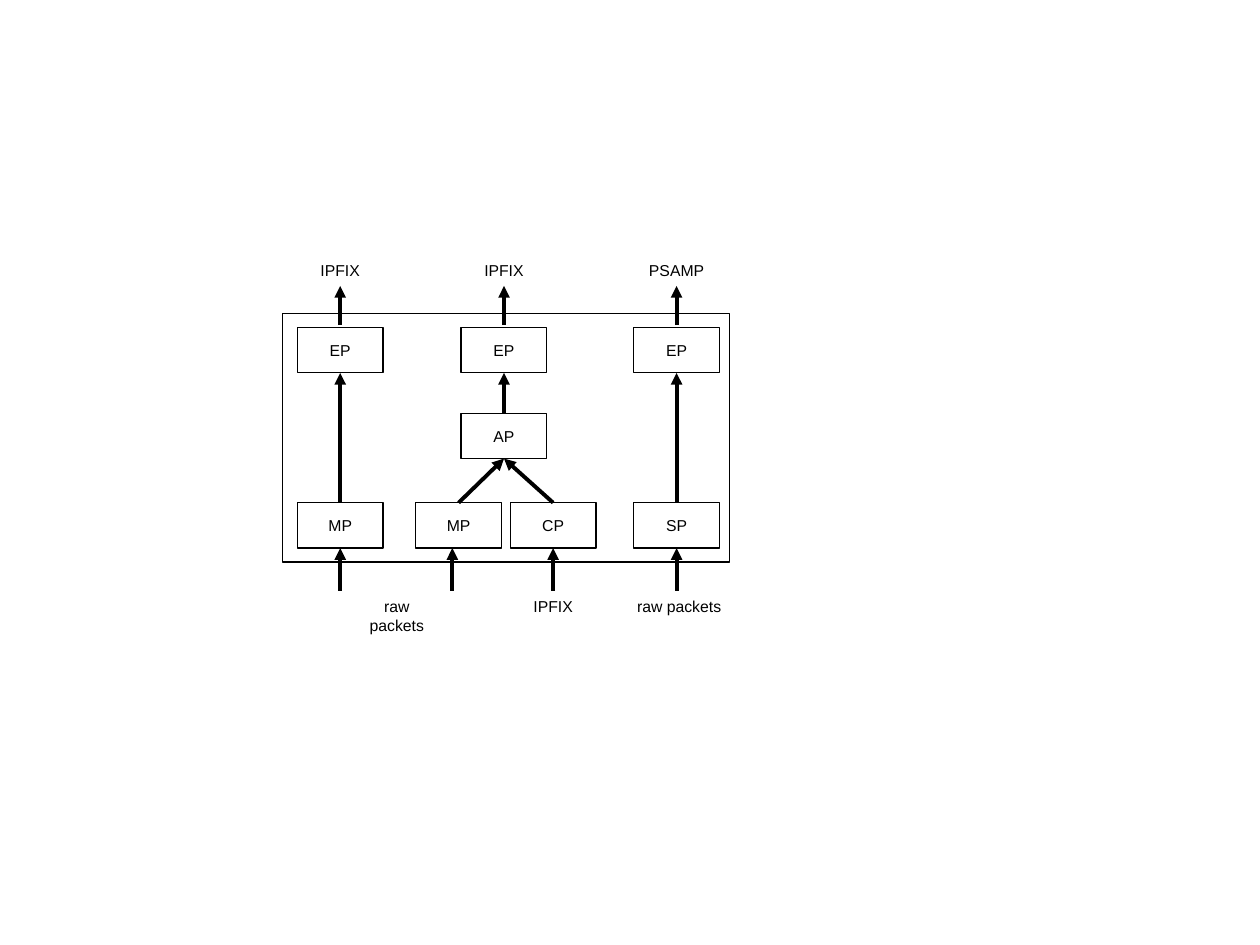
from lxml import etree
from pptx import Presentation
from pptx.dml.color import RGBColor
from pptx.enum.shapes import MSO_CONNECTOR, MSO_SHAPE
from pptx.enum.text import MSO_ANCHOR, PP_ALIGN
from pptx.oxml.ns import qn
from pptx.util import Inches, Pt

RECTANGLE = MSO_SHAPE.RECTANGLE
STRAIGHT = MSO_CONNECTOR.STRAIGHT
MIDDLE = MSO_ANCHOR.MIDDLE
CENTER = PP_ALIGN.CENTER
BLACK = RGBColor(0x00, 0x00, 0x00)

BOX_WIDTH, BOX_HEIGHT = 0.68, 0.36
LABEL_HEIGHT = 0.25
LEFT, MIDDLE_X, RIGHT = 2.7, 4, 5.37
METERING, COLLECTING = 3.64, 4.39
EXPORT_TOP, AGGREGATE_TOP, INPUT_TOP = 2.6, 3.28, 3.99
EXPORT_BOTTOM = EXPORT_TOP + BOX_HEIGHT
AGGREGATE_BOTTOM = AGGREGATE_TOP + BOX_HEIGHT
INPUT_BOTTOM = INPUT_TOP + BOX_HEIGHT
OUTPUT_LABEL_TOP, SOURCE_LABEL_TOP = 2.02, 4.69

PROCESSES = [
    ("EP", LEFT, EXPORT_TOP),
    ("EP", MIDDLE_X, EXPORT_TOP),
    ("EP", RIGHT, EXPORT_TOP),
    ("AP", MIDDLE_X, AGGREGATE_TOP),
    ("MP", LEFT, INPUT_TOP),
    ("MP", METERING, INPUT_TOP),
    ("CP", COLLECTING, INPUT_TOP),
    ("SP", RIGHT, INPUT_TOP),
]
LABELS = [
    ("IPFIX", LEFT, OUTPUT_LABEL_TOP, 1.06),
    ("IPFIX", MIDDLE_X, OUTPUT_LABEL_TOP, 1.06),
    ("PSAMP", RIGHT, OUTPUT_LABEL_TOP, 1.06),
    ("raw packets", 3.15, SOURCE_LABEL_TOP, 0.86),
    ("IPFIX", COLLECTING, SOURCE_LABEL_TOP, 0.6),
    ("raw packets", 5.39, SOURCE_LABEL_TOP, 0.9),
]
INNER_ARROWS = [
    ((LEFT, INPUT_TOP), (LEFT, EXPORT_BOTTOM)),
    ((RIGHT, INPUT_TOP), (RIGHT, EXPORT_BOTTOM)),
    ((MIDDLE_X, AGGREGATE_TOP), (MIDDLE_X, EXPORT_BOTTOM)),
    ((METERING, INPUT_TOP), (MIDDLE_X, AGGREGATE_BOTTOM)),
    ((COLLECTING, INPUT_TOP), (MIDDLE_X, AGGREGATE_BOTTOM)),
]


def set_text(shape, text):
    text_frame = shape.text_frame
    text_frame.word_wrap = True
    text_frame.text = text
    paragraph = text_frame.paragraphs[0]
    paragraph.alignment = CENTER
    font = paragraph.runs[0].font
    font.name = "Arial"
    font.size = Pt(9)
    font.color.rgb = BLACK


def add_box(slide, left, top, width, height):
    shape = slide.shapes.add_shape(
        RECTANGLE, Inches(left), Inches(top), Inches(width), Inches(height))
    shape.shadow.inherit = False
    shape.fill.background()
    shape.line.color.rgb = BLACK
    shape.line.width = Pt(0.75)
    return shape


def add_process(slide, text, center, top):
    shape = add_box(slide, center - BOX_WIDTH / 2, top, BOX_WIDTH, BOX_HEIGHT)
    shape.text_frame.vertical_anchor = MIDDLE
    set_text(shape, text)


def add_label(slide, text, center, top, width):
    shape = slide.shapes.add_textbox(
        Inches(center - width / 2), Inches(top), Inches(width), Inches(LABEL_HEIGHT))
    set_text(shape, text)


def add_arrow(slide, start, end):
    connector = slide.shapes.add_connector(
        STRAIGHT, *(Inches(value) for value in (*start, *end)))
    connector.line.color.rgb = BLACK
    connector.line.width = Pt(2.25)
    etree.SubElement(connector.line._get_or_add_ln(), qn("a:tailEnd"), type="triangle")
    etree.SubElement(connector._element.spPr, qn("a:effectLst"))


def main():
    presentation = Presentation()
    presentation.slide_width = Inches(10)
    presentation.slide_height = Inches(7.5)
    slide = presentation.slides.add_slide(presentation.slide_layouts[6])

    add_box(slide, 2.24, 2.49, 3.55, 1.97)
    for process in PROCESSES:
        add_process(slide, *process)
    for start, end in INNER_ARROWS:
        add_arrow(slide, start, end)
    for center in (LEFT, MIDDLE_X, RIGHT):
        add_arrow(slide, (center, 2.58), (center, 2.27))
    for center in (LEFT, 3.59, COLLECTING, RIGHT):
        add_arrow(slide, (center, SOURCE_LABEL_TOP), (center, INPUT_BOTTOM))
    for label in LABELS:
        add_label(slide, *label)

    presentation.save("out.pptx")


if __name__ == "__main__":
    main()
